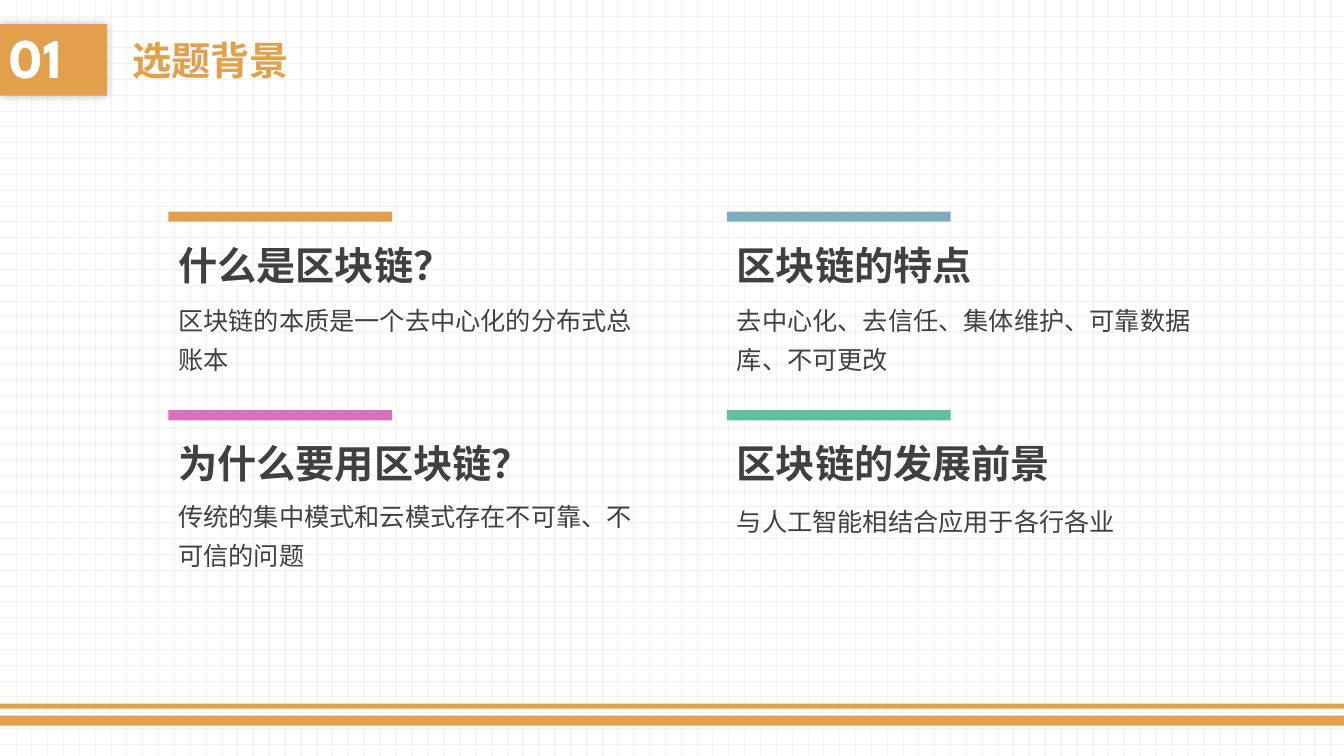
"""Build the topic background slide with four blockchain question cards."""
from dataclasses import dataclass

from lxml import etree
from pptx import Presentation
from pptx.dml.color import RGBColor
from pptx.enum.dml import MSO_PATTERN
from pptx.enum.shapes import MSO_SHAPE
from pptx.enum.text import MSO_ANCHOR, MSO_AUTO_SIZE, PP_ALIGN
from pptx.oxml.ns import qn
from pptx.util import Pt

RECT = MSO_SHAPE.RECTANGLE
GRID = MSO_PATTERN.DOTTED_GRID
TOP, MIDDLE = MSO_ANCHOR.TOP, MSO_ANCHOR.MIDDLE
LEFT = PP_ALIGN.LEFT
NO_FIT, GROW = MSO_AUTO_SIZE.NONE, MSO_AUTO_SIZE.SHAPE_TO_FIT_TEXT

EMU_PER_PX = 9144
WIDTH, HEIGHT = 1333, 750
ORANGE, DARK, WHITE = "E2A04C", "404040", "FFFFFF"
HEAD_FONT, BODY_FONT = "League Spartan", "Noto Sans CJK SC"
COLUMNS, ROWS = (167, 721), (210, 407)


@dataclass
class Card:
    """One question with its accent bar, heading and answer."""
    col: int
    row: int
    color: str
    heading: str
    heading_w: int
    body: str
    body_y: int
    body_h: int = 89


CARDS = [
    Card(0, 0, ORANGE, "什么是区块链？", 295,
         "区块链的本质是一个去中心化的分布式总账本", 289),
    Card(0, 1, "D870BB", "为什么要用区块链？", 362,
         "传统的集中模式和云模式存在不可靠、不可信的问题", 483),
    Card(1, 0, "7CAFBC", "区块链的特点", 256,
         "去中心化、去信任、集体维护、可靠数据库、不可更改", 289),
    Card(1, 1, "61C09E", "区块链的发展前景", 334,
         "与人工智能相结合应用于各行各业", 488, 46),
]


def px(n: int) -> int:
    """Turn px into EMU."""
    return n * EMU_PER_PX


def rgb(color: str) -> RGBColor:
    """Turn a hex string into a colour."""
    return RGBColor.from_string(color)


def place(s, x: int, y: int, w: int, h: int) -> None:
    """Move and size a shape."""
    s.left, s.top, s.width, s.height = px(x), px(y), px(w), px(h)


def write(s, text: str, *, size: int, color: str, font: str = HEAD_FONT,
          bold: bool = True, spacing: float = 1.0, before: int = 0,
          anchor=TOP, wrap: bool = True, fit=NO_FIT) -> None:
    """Write one formatted paragraph into a shape."""
    tf = s.text_frame
    tf.word_wrap, tf.auto_size, tf.vertical_anchor = wrap, fit, anchor
    p = tf.paragraphs[0]
    p.alignment, p.line_spacing, p.space_before = LEFT, spacing, Pt(before)
    r = p.add_run()
    r.text = text
    r.font.name, r.font.size, r.font.bold = font, Pt(size), bold
    r.font.color.rgb = rgb(color)
    etree.SubElement(r.font._element, qn("a:ea"), typeface=font)


def add_bar(slide, x: int, y: int, w: int, h: int, color: str):
    """Add a plain filled rectangle."""
    s = slide.shapes.add_shape(RECT, px(x), px(y), px(w), px(h))
    s.shadow.inherit = False
    s.fill.solid()
    s.fill.fore_color.rgb = rgb(color)
    s.line.fill.background()
    return s


def add_glow(s, blur: int, alpha: int) -> None:
    """Add a centred black shadow, blur in points and alpha in percent."""
    effects = s._element.spPr.find(qn("a:effectLst"))
    shadow = etree.SubElement(effects, qn("a:outerShdw"), blurRad=str(Pt(blur)),
                              dist="0", dir="0", algn="ctr", rotWithShape="0")
    black = etree.SubElement(shadow, qn("a:srgbClr"), val="000000")
    etree.SubElement(black, qn("a:alpha"), val=str(alpha * 1000))


def add_text(slide, x: int, y: int, w: int, h: int, text: str, **fmt) -> None:
    """Add a text box that grows with its text."""
    s = slide.shapes.add_textbox(px(x), px(y), px(w), px(h))
    write(s, text, color=DARK, spacing=1.3, fit=GROW, **fmt)


def add_card(slide, card: Card) -> None:
    """Draw one card."""
    x, y = COLUMNS[card.col], ROWS[card.row]
    add_bar(slide, x, y, 222, 10, card.color)
    add_text(slide, x, card.body_y, 479, card.body_h, card.body,
             size=18, font=BODY_FONT, bold=False)
    add_text(slide, x, y + 10, card.heading_w, 65, card.heading,
             size=28, wrap=False)


def main() -> None:
    """Build and save the slide."""
    prs = Presentation()
    prs.slide_width, prs.slide_height = px(WIDTH), px(HEIGHT)
    slide = prs.slides.add_slide(prs.slide_layouts[5])
    fill = slide.background.fill
    fill.patterned()
    fill.pattern = GRID
    fill.fore_color.rgb, fill.back_color.rgb = rgb("F2F2F2"), rgb(WHITE)

    for y, h in ((710, 10), (698, 5)):
        add_bar(slide, 0, y, WIDTH, h, ORANGE)
    badge = add_bar(slide, 0, 24, 106, 71, ORANGE)
    add_glow(badge, 7, 25)
    write(badge, "01", size=40, color=WHITE, spacing=0.9, before=10, anchor=MIDDLE)
    title = slide.shapes.title
    place(title, 121, 24, 704, 71)
    write(title, "选题背景", size=28, color=ORANGE, before=10, anchor=MIDDLE)
    for card in CARDS:
        add_card(slide, card)
    prs.save("out.pptx")


if __name__ == "__main__":
    main()
